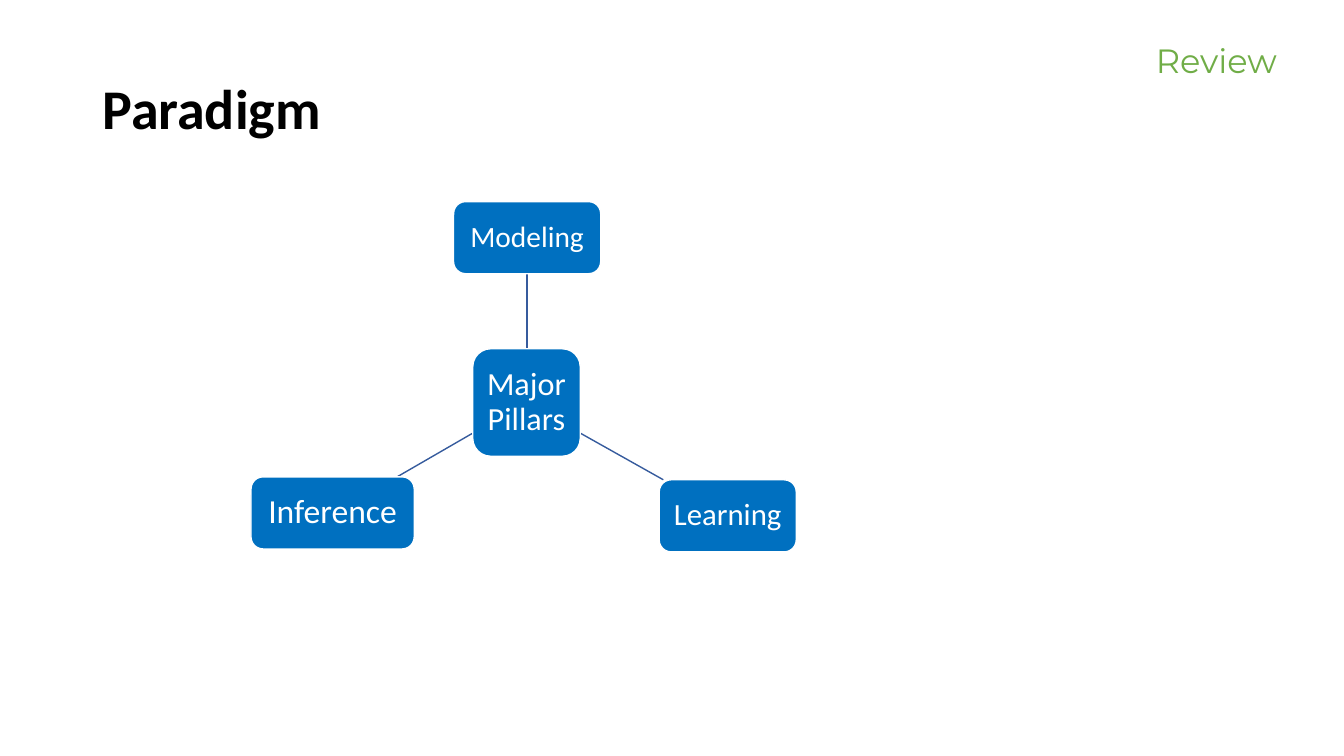
import pptx
import pptx.util
import pptx.dml.color
import pptx.enum.shapes
import pptx.enum.text
import pptx.oxml.ns
import lxml.etree

Pt = pptx.util.Pt
RGBColor = pptx.dml.color.RGBColor
ANCHOR = pptx.enum.text.MSO_ANCHOR
ALIGN = pptx.enum.text.PP_ALIGN

BLACK = RGBColor(0x00, 0x00, 0x00)
WHITE = RGBColor(0xFF, 0xFF, 0xFF)
BLUE = RGBColor(0x00, 0x70, 0xC0)
LINK_BLUE = RGBColor(0x36, 0x5B, 0x9D)
GREEN = RGBColor(0x70, 0xAD, 0x47)

HUB = ("Major Pillars", 337.7, 249.1, 76.8, 76.8, 23)
PILLARS = [
    ("Modeling", 324, 144, 105.1, 51.5, 21),
    ("Learning", 470.9, 342.7, 97.9, 51.5, 22),
    ("Inference", 179.3, 340.6, 116.6, 51.5, 24),
]
LINKS = [
    (376.3, 249.1, 376.3, 195.5),
    (414.5, 309.4, 473.8, 342.7),
    (337.7, 309.4, 283.7, 340.6),
]


def write_text(shape, text, size, color, font="Calibri", bold=False,
               align=ALIGN.LEFT, anchor=ANCHOR.TOP, spacing=1.0,
               inset=None, wrap=True):
    frame = shape.text_frame
    frame.word_wrap = wrap
    frame.vertical_anchor = anchor
    if inset is not None:
        frame.margin_left = frame.margin_right = Pt(inset)
        frame.margin_top = frame.margin_bottom = Pt(inset)
    frame.text = text
    paragraph = frame.paragraphs[0]
    paragraph.alignment = align
    paragraph.line_spacing = spacing
    paragraph.font.name = font
    paragraph.font.size = Pt(size)
    paragraph.font.bold = bold
    paragraph.font.color.rgb = color


def add_title(slide, text):
    title = slide.shapes.title
    title.left, title.top = Pt(66), Pt(27.6)
    title.width, title.height = Pt(828), Pt(104.4)
    write_text(title, text, 40, BLACK, bold=True, anchor=ANCHOR.MIDDLE, spacing=0.9)


def add_label(slide, text):
    label = slide.shapes.add_textbox(Pt(818.6), Pt(25.2), Pt(110.2), Pt(36))
    write_text(label, text, 24, GREEN, font="Montserrat", wrap=False)


def add_node(slide, text, left, top, width, height, size):
    node = slide.shapes.add_shape(
        pptx.enum.shapes.MSO_SHAPE.ROUNDED_RECTANGLE,
        Pt(left), Pt(top), Pt(width), Pt(height))
    node.shadow.inherit = False
    node.fill.solid()
    node.fill.fore_color.rgb = BLUE
    node.line.color.rgb = WHITE
    node.line.width = Pt(1)
    write_text(node, text, size, WHITE, align=ALIGN.CENTER,
               anchor=ANCHOR.MIDDLE, spacing=0.9, inset=4.3)


def add_link(slide, *ends):
    link = slide.shapes.add_connector(
        pptx.enum.shapes.MSO_CONNECTOR.STRAIGHT, *[Pt(end) for end in ends])
    link.line.color.rgb = LINK_BLUE
    link.line.width = Pt(1)
    properties = link.element.spPr
    lxml.etree.SubElement(properties, pptx.oxml.ns.qn("a:effectLst"))


def main():
    presentation = pptx.Presentation()
    presentation.slide_width = Pt(960)
    presentation.slide_height = Pt(540)
    slide = presentation.slides.add_slide(presentation.slide_layouts[5])
    add_title(slide, "Paradigm")
    for link in LINKS:
        add_link(slide, *link)
    for node in [HUB, *PILLARS]:
        add_node(slide, *node)
    add_label(slide, "Review")
    presentation.save("out.pptx")


if __name__ == "__main__":
    main()
